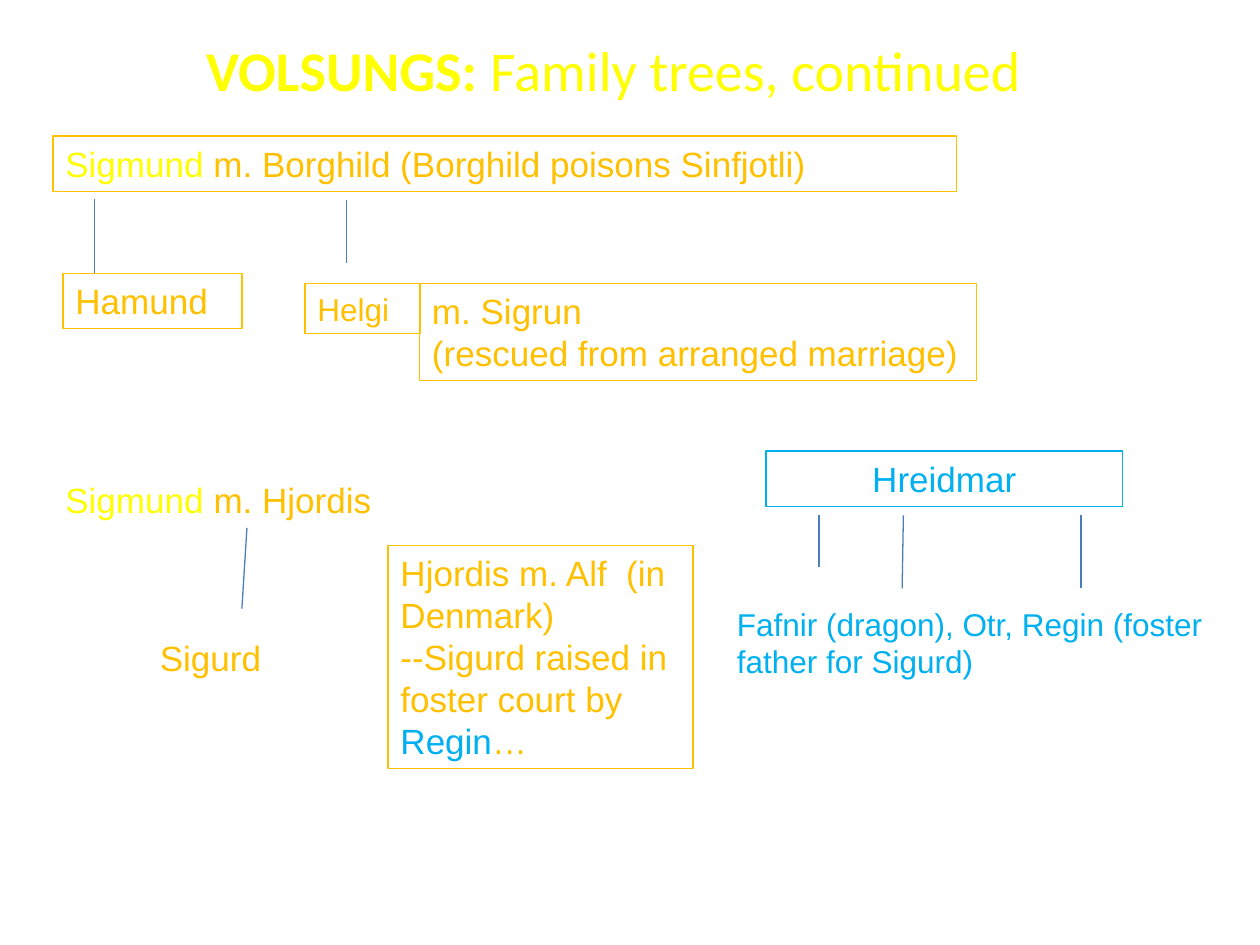
from lxml import etree
from pptx import Presentation
from pptx.dml.color import RGBColor
from pptx.enum import shapes, text
from pptx.oxml.ns import qn
from pptx.util import Inches, Pt

YELLOW, GOLD, BLUE, LINE = "FFFF00", "FFC000", "00B0F0", "4A7EBB"


def color(value):
    return RGBColor.from_string(value)


def add_runs(p, parts, size, font="Arial"):
    """Add (text, colour) parts; a newline becomes a line break."""
    for content, fill in parts:
        for i, piece in enumerate(content.split("\n")):
            if i:
                p.add_line_break()
            r = p.add_run()
            r.text = piece
            r.font.size, r.font.name = Pt(size), font
            r.font.color.rgb = color(fill)


def add_title(s, bold_part, plain_part):
    sp = s.shapes.title
    sp.left, sp.top, sp.width, sp.height = map(Inches, (0.42, 0.17, 9, 0.75))
    tf = sp.text_frame
    tf.vertical_anchor = text.MSO_ANCHOR.MIDDLE
    p = tf.paragraphs[0]
    p.alignment = text.PP_ALIGN.CENTER
    add_runs(p, [(bold_part, YELLOW), (plain_part, YELLOW)], 32, "Calibri")
    for r, bold in zip(p.runs, (True, False)):
        r.font.bold = bold


def add_label(s, box, parts, size=20, border=None, align=text.PP_ALIGN.LEFT):
    """Add a person or couple, framed when a border colour is given."""
    place = [Inches(v) for v in box]
    if border:
        sp = s.shapes.add_shape(shapes.MSO_SHAPE.RECTANGLE, *place)
        sp.shadow.inherit = False
        sp.fill.background()
        sp.line.color.rgb = color(border)
        sp.line.width = Pt(0.75)
    else:
        sp = s.shapes.add_textbox(*place)
    tf = sp.text_frame
    tf.word_wrap = True
    tf.auto_size = text.MSO_AUTO_SIZE.SHAPE_TO_FIT_TEXT
    tf.vertical_anchor = text.MSO_ANCHOR.TOP
    p = tf.paragraphs[0]
    p.alignment = align
    add_runs(p, parts, size)


def add_descent(s, x1, y1, x2, y2):
    """Add a line from parent to child."""
    c = s.shapes.add_connector(shapes.MSO_CONNECTOR.STRAIGHT,
                               *map(Inches, (x1, y1, x2, y2)))
    c.line.color.rgb = color(LINE)
    c.line.width = Pt(0.75)
    etree.SubElement(c.line._get_or_add_ln().getparent(), qn("a:effectLst"))


def main():
    prs = Presentation()
    prs.slide_width, prs.slide_height = Inches(10), Inches(7.5)
    s = prs.slides.add_slide(prs.slide_layouts[5])
    add_title(s, "VOLSUNGS: ", "Family trees, continued ")

    # Sigmund and Borghild
    add_label(s, (0.42, 1.08, 7.17, 0.44),
              [("Sigmund", YELLOW),
               (" m. Borghild (Borghild poisons Sinfjotli)", GOLD)], border=GOLD)
    add_label(s, (0.5, 2.17, 1.42, 0.44), [("Hamund", GOLD)], border=GOLD)
    add_descent(s, 0.75, 1.58, 0.75, 2.17)
    add_descent(s, 2.75, 1.59, 2.75, 2.09)
    add_label(s, (2.42, 2.25, 0.92, 0.4), [("Helgi", GOLD)], 18, GOLD)
    add_label(s, (3.33, 2.25, 4.42, 0.77),
              [("m. Sigrun\n(rescued from arranged marriage)", GOLD)], border=GOLD)

    # Sigmund and Hjordis
    add_label(s, (0.42, 3.75, 3.08, 0.44),
              [("Sigmund ", YELLOW), ("m. Hjordis", GOLD)])
    add_descent(s, 1.96, 4.19, 1.92, 4.83)
    add_label(s, (1.17, 5, 2.08, 0.44), [("Sigurd", GOLD)])
    add_label(s, (3.08, 4.33, 2.42, 1.77),
              [("Hjordis m. Alf  (in Denmark) \n"
                "--Sigurd raised in foster court by ", GOLD),
               ("Regin", BLUE), ("…", GOLD)], border=GOLD)

    # Hreidmar and his sons
    add_label(s, (6.08, 3.58, 2.83, 0.44), [("Hreidmar", BLUE)],
              border=BLUE, align=text.PP_ALIGN.CENTER)
    add_label(s, (5.75, 4.75, 3.92, 0.7),
              [("Fafnir (dragon), Otr, Regin (foster father for Sigurd)", BLUE)], 18)
    for x1, x2, bottom in ((6.5, 6.5, 4.5), (7.17, 7.16, 4.67), (8.58, 8.58, 4.67)):
        add_descent(s, x1, 4.09, x2, bottom)

    prs.save("out.pptx")


if __name__ == "__main__":
    main()
